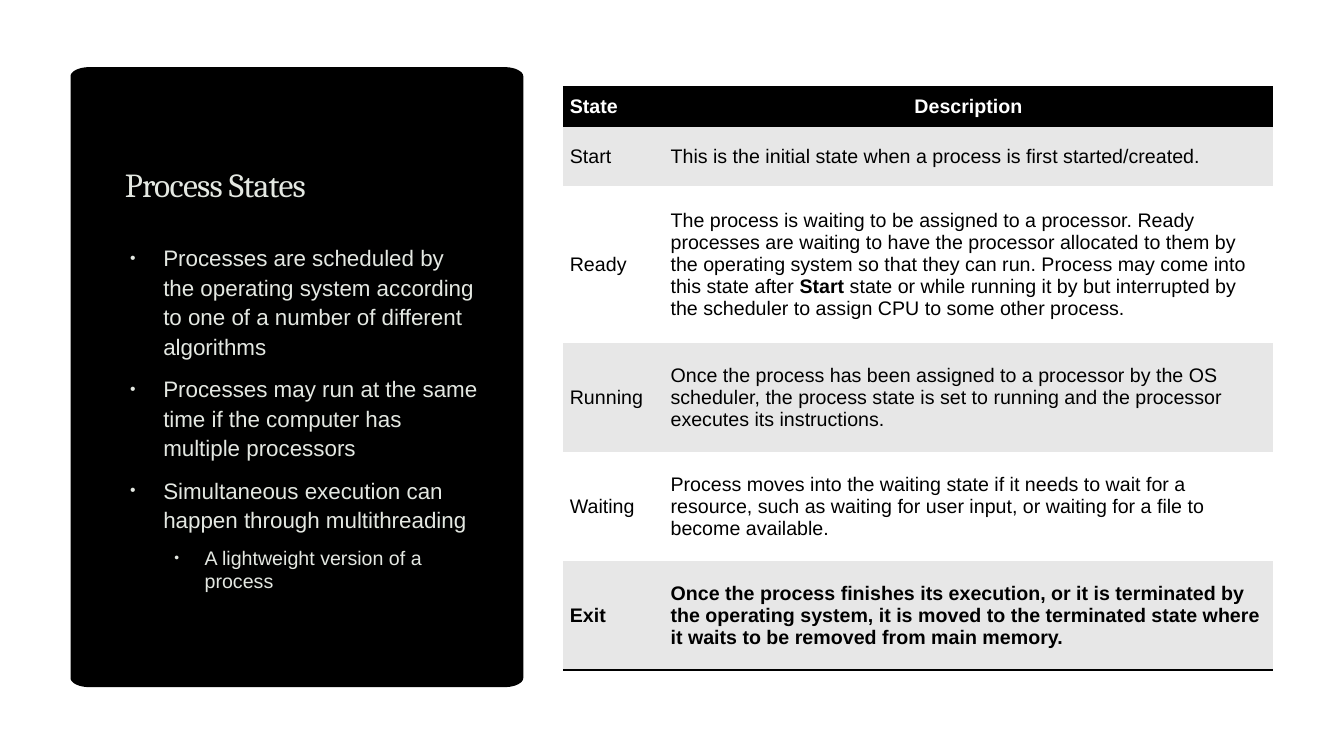
from math import cos, pi, sin

from lxml.etree import SubElement
from pptx import Presentation
from pptx.dml.color import RGBColor
from pptx.enum.shapes import MSO_SHAPE as Shape
from pptx.enum.text import MSO_ANCHOR as Anchor, PP_ALIGN as Align
from pptx.oxml import parse_xml
from pptx.oxml.ns import nsdecls, qn
from pptx.util import Inches, Pt

COLORS = {"black": "000000", "white": "FFFFFF", "band": "E7E7E7", "pale": "E4E8E2"}
NO_STYLE = "{2D5ABB26-0587-4C30-8999-92F81FD0307C}"
COLUMNS, ROWS = 160, 90

BULLETS = [
    ("Processes are scheduled by the operating system according to one of a number of different algorithms", 0),
    ("Processes may run at the same time if the computer has multiple processors", 0),
    ("Simultaneous execution can happen through multithreading", 0),
    ("A lightweight version of a process", 1),
]
LEVELS = [
    dict(size=16, line=1.1, before=3.2, margin=0.38, hanging=0.33),
    dict(size=14, line=1.0, before=2.8, margin=0.79, hanging=0.3),
]
STATES = [
    ("State", ["Description"]),
    ("Start", ["This is the initial state when a process is first started/created."]),
    ("Ready", [
        "The process is waiting to be assigned to a processor. Ready processes are waiting to have "
        "the processor allocated to them by the operating system so that they can run. Process may "
        "come into this state after ",
        "Start",
        " state or while running it by but interrupted by the scheduler to assign CPU to some other process.",
    ]),
    ("Running", ["Once the process has been assigned to a processor by the OS scheduler, the process "
                 "state is set to running and the processor executes its instructions."]),
    ("Waiting", ["Process moves into the waiting state if it needs to wait for a resource, such as "
                 "waiting for user input, or waiting for a file to become available."]),
    ("Exit", ["Once the process finishes its execution, or it is terminated by the operating system, "
              "it is moved to the terminated state where it waits to be removed from main memory."]),
]


def rgb(name):
    return RGBColor.from_string(COLORS[name])


def add_text(para, text, size=14, font="Arial", color="black", bold=False, spacing=None):
    span = para.add_run()
    span.text = text
    span.font.size = Pt(size)
    span.font.name = font
    span.font.bold = bold
    span.font.color.rgb = rgb(color)
    if spacing is not None:
        span.font._element.set("spc", str(spacing))


class SlideBuilder:
    def __init__(self, deck):
        self.width, self.height = deck.slide_width, deck.slide_height
        self.page = deck.slides.add_slide(deck.slide_layouts[6])
        self.page.background.fill.solid()
        self.page.background.fill.fore_color.rgb = rgb("black")

    def across(self, columns):
        return round(self.width * columns / COLUMNS)

    def down(self, rows):
        return round(self.height * rows / ROWS)

    def area(self, left, top, width, height):
        return self.across(left), self.down(top), self.across(width), self.down(height)

    def paint(self, shape, color):
        shape.shadow.inherit = False
        shape.fill.solid()
        shape.fill.fore_color.rgb = rgb(color)
        shape.line.fill.background()

    def backdrop(self, color):
        self.paint(self.page.shapes.add_shape(Shape.RECTANGLE, 0, 0, self.width, self.height), color)

    def panel(self, left, top, width, height, corner, color):
        left, top, width, height = self.area(left, top, width, height)
        reach, rise = self.across(corner[0]), self.down(corner[1])
        centers = [
            (left + width - reach, top + height - rise),
            (left + reach, top + height - rise),
            (left + reach, top + rise),
            (left + width - reach, top + rise),
        ]
        steps = 12
        outline = [
            (round(x + reach * cos(angle)), round(y + rise * sin(angle)))
            for quarter, (x, y) in enumerate(centers)
            for angle in ((quarter + step / steps) * pi / 2 for step in range(steps + 1))
        ]
        builder = self.page.shapes.build_freeform(*outline[0])
        builder.add_line_segments(outline[1:], close=True)
        self.paint(builder.convert_to_shape(), color)

    def text_box(self, left, top, width, height, anchor=Anchor.TOP):
        box = self.page.shapes.add_textbox(*self.area(left, top, width, height))
        box.text_frame.word_wrap = True
        box.text_frame.vertical_anchor = anchor
        return box.text_frame

    def title(self, text, *place):
        para = self.text_box(*place, anchor=Anchor.BOTTOM).paragraphs[0]
        para.line_spacing = 0.9
        add_text(para, text, size=24, font="Cambria", color="pale", spacing=-50)

    def bullets(self, items, *place):
        frame = self.text_box(*place)
        for index, (text, level) in enumerate(items):
            look = LEVELS[level]
            para = frame.add_paragraph() if index else frame.paragraphs[0]
            para.level = level
            para.line_spacing = look["line"]
            para.space_before = Pt(look["before"] if index else 0)
            para.space_after = Pt(6)
            props = para._p.get_or_add_pPr()
            props.set("marL", str(Inches(look["margin"])))
            props.set("indent", str(-Inches(look["hanging"])))
            tint = SubElement(props, qn("a:buClr"))
            SubElement(tint, qn("a:srgbClr"), val=COLORS["pale"])
            SubElement(props, qn("a:buSzPct"), val="70000")
            SubElement(props, qn("a:buFont"), typeface="Arial")
            SubElement(props, qn("a:buChar"), char="•")
            add_text(para, text, size=look["size"], color="pale")

    def border(self, cell, *sides):
        props = cell._tc.get_or_add_tcPr()
        for index, side in enumerate(sides):
            props.insert(index, parse_xml(
                f'<a:ln{side} {nsdecls("a")} w="{Pt(2)}"><a:solidFill>'
                f'<a:srgbClr val="{COLORS["black"]}"/></a:solidFill></a:ln{side}>'))

    def fill_cell(self, cell, color):
        cell.fill.solid()
        cell.fill.fore_color.rgb = rgb(color)
        cell.vertical_anchor = Anchor.MIDDLE
        cell.margin_left = cell.margin_right = Inches(0.07)
        cell.margin_top = cell.margin_bottom = Inches(0.04)

    def table(self, records, left, top, widths, heights):
        place = self.area(left, top, sum(widths), sum(heights))
        table = self.page.shapes.add_table(len(heights), len(widths), *place).table
        table._tbl.tblPr.find(qn("a:tableStyleId")).text = NO_STYLE
        table.first_row = table.horz_banding = False
        for column, width in zip(table.columns, widths):
            column.width = self.across(width)
        for row, height in zip(table.rows, heights):
            row.height = self.down(height)
        last = len(records) - 1
        for index, (state, description) in enumerate(records):
            header = index == 0
            color = "black" if header else "band" if index % 2 else "white"
            for cell, parts in zip(table.rows[index].cells, ([state], description)):
                self.fill_cell(cell, color)
                for order, part in enumerate(parts):
                    add_text(cell.text_frame.paragraphs[0], part,
                             color="white" if header else "black",
                             bold=index in (0, last) or order == 1)
                if header:
                    self.border(cell, "T", "B")
                elif index == last:
                    self.border(cell, "B")
        table.cell(0, 1).text_frame.paragraphs[0].alignment = Align.CENTER


def main():
    deck = Presentation()
    deck.slide_width, deck.slide_height = Inches(13.33), Inches(7.5)
    slide = SlideBuilder(deck)
    slide.backdrop("white")
    slide.panel(8.4, 8, 53.9, 73.8, (2.2, 1.1), "black")
    slide.title("Process States", 13.7, 11, 45.6, 14)
    slide.bullets(BULLETS, 13.7, 28.2, 44.6, 46)
    slide.table(STATES, 67, 10.4, [12, 72.6], [4.6, 7.2, 18.6, 13, 13, 13])
    deck.save("out.pptx")


if __name__ == "__main__":
    main()
